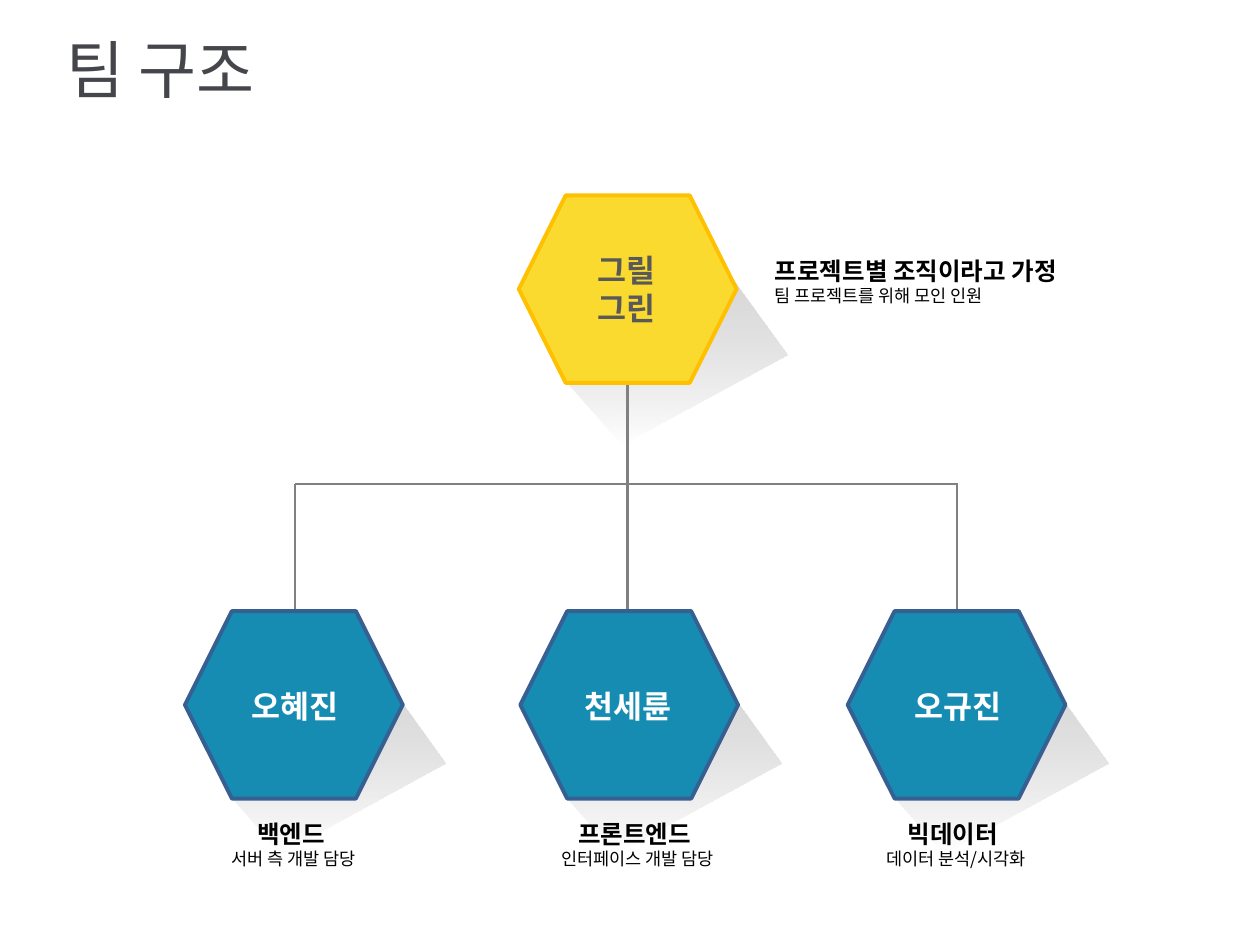
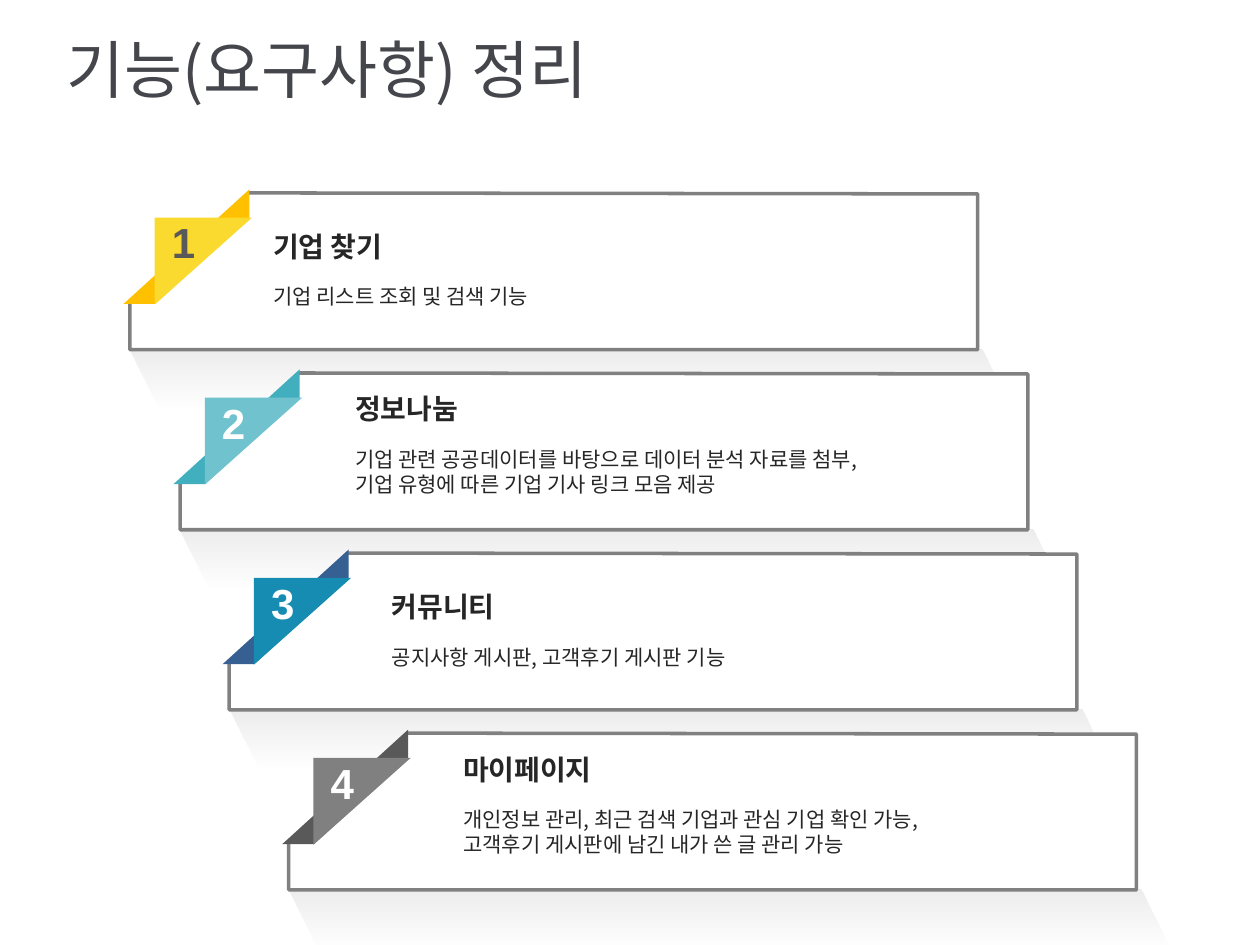
"""Build the team structure and feature summary slides."""
from lxml.etree import SubElement
from pptx import Presentation
from pptx.dml.color import RGBColor
from pptx.enum.shapes import MSO_CONNECTOR, MSO_SHAPE
from pptx.enum.text import MSO_ANCHOR, MSO_AUTO_SIZE, PP_ALIGN
from pptx.oxml import parse_xml
from pptx.oxml.ns import qn
from pptx.util import Cm, Pt

KOREAN = "Noto Sans CJK KR"
DIGITS = "Arial"
BLACK = RGBColor(0x00, 0x00, 0x00)
WHITE = RGBColor(0xFF, 0xFF, 0xFF)
TITLE_GRAY = RGBColor(0x44, 0x46, 0x4B)
INK = RGBColor(0x26, 0x26, 0x26)
DARK_GRAY = RGBColor(0x59, 0x59, 0x59)
GRAY = RGBColor(0x80, 0x80, 0x80)
LIGHT_GRAY = RGBColor(0xA6, 0xA6, 0xA6)
YELLOW = RGBColor(0xFA, 0xDA, 0x2F)
AMBER = RGBColor(0xFF, 0xC0, 0x00)
BLUE = RGBColor(0x16, 0x8C, 0xB3)
NAVY = RGBColor(0x37, 0x60, 0x92)
AQUA = RGBColor(0x70, 0xC3, 0xCE)
TEAL = RGBColor(0x42, 0xAF, 0xBE)
TEXT_SHADOW = (
    '<a:effectLst xmlns:a="http://schemas.openxmlformats.org/drawingml/2006/main">'
    '<a:outerShdw blurRad="38100" dist="38100" dir="2700000"><a:srgbClr val="000000">'
    '<a:alpha val="43000"/></a:srgbClr></a:outerShdw></a:effectLst>'
)


def paint(shape, color, line=None, width=0, alpha=None):
    """Fill a shape, fading from color to clear gray when alpha is given."""
    shape.shadow.inherit = False
    if alpha is None:
        shape.fill.solid()
        shape.fill.fore_color.rgb = color
    else:
        shape.fill.gradient()
        shape.fill.gradient_angle = 270
        stops = zip(shape.fill.gradient_stops, (color, GRAY), (alpha, 0))
        for stop, stop_color, percent in stops:
            stop.color.rgb = stop_color
        for node, percent in zip(shape.element.spPr.iter(qn("a:srgbClr")), (alpha, 0)):
            SubElement(node, qn("a:alpha")).set("val", str(percent * 1000))
    if line is None:
        shape.line.fill.background()
    else:
        shape.line.color.rgb = line
        shape.line.width = Pt(width)


def write(shape, lines, color, align=PP_ALIGN.LEFT, font=KOREAN):
    """Write lines of (text, size, bold) into a shape."""
    text_frame = shape.text_frame
    text_frame.word_wrap = True
    text_frame.text = "\n".join(text for text, _, _ in lines)
    for paragraph, (_, size, bold) in zip(text_frame.paragraphs, lines):
        paragraph.alignment = align
        for run in paragraph.runs:
            run.font.size = Pt(size)
            run.font.bold = bold
            run.font.color.rgb = color
            run.font.name = font
            SubElement(run.font._element, qn("a:ea")).set("typeface", font)


presentation = Presentation()
presentation.slide_width, presentation.slide_height = Cm(25.4), Cm(19.05)
slides = []
for heading in ("팀 구조", "기능(요구사항) 정리"):
    slide = presentation.slides.add_slide(presentation.slide_layouts[5])
    title = slide.shapes.title
    title.left, title.top, title.width, title.height = Cm(1.09), Cm(0.1), Cm(16.41), Cm(2.57)
    write(title, [(heading, 36, False)], TITLE_GRAY)
    title.text_frame.auto_size = MSO_AUTO_SIZE.NONE
    title.text_frame.vertical_anchor = MSO_ANCHOR.MIDDLE
    slides.append(slide)
team_slide, feature_slide = slides

branches = [
    (5.94, 9.75, 19.32, 9.75),
    (5.94, 9.75, 5.94, 12.32),
    (19.3, 9.75, 19.3, 12.32),
    (12.65, 8.9, 12.65, 12.32),
    (12.65, 6.12, 12.65, 8.94),
]
for branch in branches:
    connector = team_slide.shapes.add_connector(MSO_CONNECTOR.STRAIGHT, *map(Cm, branch))
    connector.line.color.rgb = GRAY
    connector.line.width = Pt(1.25)
    SubElement(connector._element.spPr, qn("a:effectLst"))

hexagons = [
    (10.46, 3.94, YELLOW, AMBER, 0.15),
    (3.73, 12.32, BLUE, NAVY, 0),
    (10.49, 12.32, BLUE, NAVY, 0),
    (17.09, 12.32, BLUE, NAVY, 0),
]
for left, top, color, outline, shift in hexagons:
    corners = [
        (Cm(left + shift + x), Cm(top + shift + y))
        for x, y in ((5.26, 3.07), (4.17, 1.57), (0.86, 3.66), (1.93, 4.88))
    ]
    builder = team_slide.shapes.build_freeform(*corners[0])
    builder.add_line_segments(corners[1:], close=True)
    paint(builder.convert_to_shape(), LIGHT_GRAY, alpha=45)
    hexagon = team_slide.shapes.add_shape(
        MSO_SHAPE.HEXAGON, Cm(left), Cm(top), Cm(4.39), Cm(3.78))
    paint(hexagon, color, outline, 2.25)

CENTER = PP_ALIGN.CENTER
labels = [
    (15.37, 5.03, 7.11, 1.27, BLACK, PP_ALIGN.LEFT,
     [("프로젝트별 조직이라고 가정", 14, True), ("팀 프로젝트를 위해 모인 인원", 10, False)]),
    (9.83, 4.93, 5.59, 1.8, DARK_GRAY, CENTER, [("그릴\v그린", 18, True)]),
]
members = [
    (4.72, "오혜진", 4.11, 3.63, "백엔드 ", "서버 측 개발 담당"),
    (11.43, "천세륜", 10.82, 4.06, "프론트엔드 ", "인터페이스 개발 담당"),
    (18.08, "오규진", 17.45, 3.63, "빅데이터 ", "데이터 분석/시각화"),
]
for name_left, name, role_left, role_width, role, duty in members:
    labels.append((name_left, 13.72, 2.46, 1.02, WHITE, CENTER, [(name, 18, True)]))
    labels.append((role_left, 16.38, role_width, 1.27, BLACK, CENTER,
                   [(role, 14, True), (duty, 10, False)]))
for left, top, width, height, color, align, lines in labels:
    label = team_slide.shapes.add_textbox(Cm(left), Cm(top), Cm(width), Cm(height))
    write(label, lines, color, align)
    label.text_frame.auto_size = MSO_AUTO_SIZE.SHAPE_TO_FIT_TEXT

features = [
    (2.62, YELLOW, AMBER, DARK_GRAY, 5.26, 4.5, "기업 찾기", ["기업 리스트 조회 및 검색 기능"]),
    (3.63, AQUA, TEAL, WHITE, 6.91, 7.77, "정보나눔",
     ["기업 관련 공공데이터를 바탕으로 데이터 분석 자료를 첨부,",
      "기업 유형에 따른 기업 기사 링크 모음 제공"]),
    (4.62, BLUE, NAVY, WHITE, 7.65, 11.76, "커뮤니티", ["공지사항 게시판, 고객후기 게시판 기능"]),
    (5.82, GRAY, DARK_GRAY, WHITE, 9.09, 15.04, "마이페이지",
     ["개인정보 관리, 최근 검색 기업과 관심 기업 확인 가능,",
      "고객후기 게시판에 남긴 내가 쓴 글 관리 가능"]),
]
CARD_TOP, CARD_STEP = 3.89, 3.63
for index, feature in enumerate(features):
    left, color, fold_color, digit_color, text_left, text_top, heading, details = feature
    top = CARD_TOP + index * CARD_STEP

    card_shadow = feature_slide.shapes.add_shape(
        MSO_SHAPE.PARALLELOGRAM, Cm(left), Cm(top + 3.15), Cm(17.78), Cm(1.19))
    card_shadow.adjustments[0] = 0.507
    card_shadow.element.spPr.xfrm.set("flipH", "1")
    paint(card_shadow, GRAY, alpha=15)

    corners = [
        (Cm(left + x), Cm(top + y))
        for x, y in ((17.09, 0.02), (2.39, 0), (0, 2.22), (0, 3.16), (17.09, 3.16))
    ]
    builder = feature_slide.shapes.build_freeform(*corners[0])
    builder.add_line_segments(corners[1:], close=True)
    paint(builder.convert_to_shape(), WHITE, GRAY, 2)

    fold = feature_slide.shapes.add_shape(
        MSO_SHAPE.DIAGONAL_STRIPE, Cm(left - 0.13), Cm(top - 0.07), Cm(2.54), Cm(2.31))
    fold.adjustments[0] = 0.749
    fold.element.spPr.xfrm.set("flipH", "1")
    fold.element.spPr.xfrm.set("flipV", "1")
    paint(fold, fold_color)

    flag = feature_slide.shapes.add_shape(
        MSO_SHAPE.RIGHT_TRIANGLE, Cm(left + 0.5), Cm(top + 0.5), Cm(1.96), Cm(1.75))
    flag.element.spPr.xfrm.set("flipV", "1")
    paint(flag, color)

    digit = feature_slide.shapes.add_textbox(Cm(left + 0.08), Cm(top + 0.36), Cm(2), Cm(1.27))
    write(digit, [(str(index + 1), 24, True)], digit_color, CENTER, DIGITS)
    digit.text_frame.paragraphs[0].runs[0].font._element.insert(1, parse_xml(TEXT_SHADOW))

    description = feature_slide.shapes.add_textbox(
        Cm(text_left), Cm(text_top), Cm(13.79), Cm(1.24 + 0.51 * len(details)))
    write(description, [(heading, 16, True)] + [(text, 12, False) for text in details], INK)
    description.text_frame.paragraphs[1].space_before = Pt(12)

presentation.save("out.pptx")
